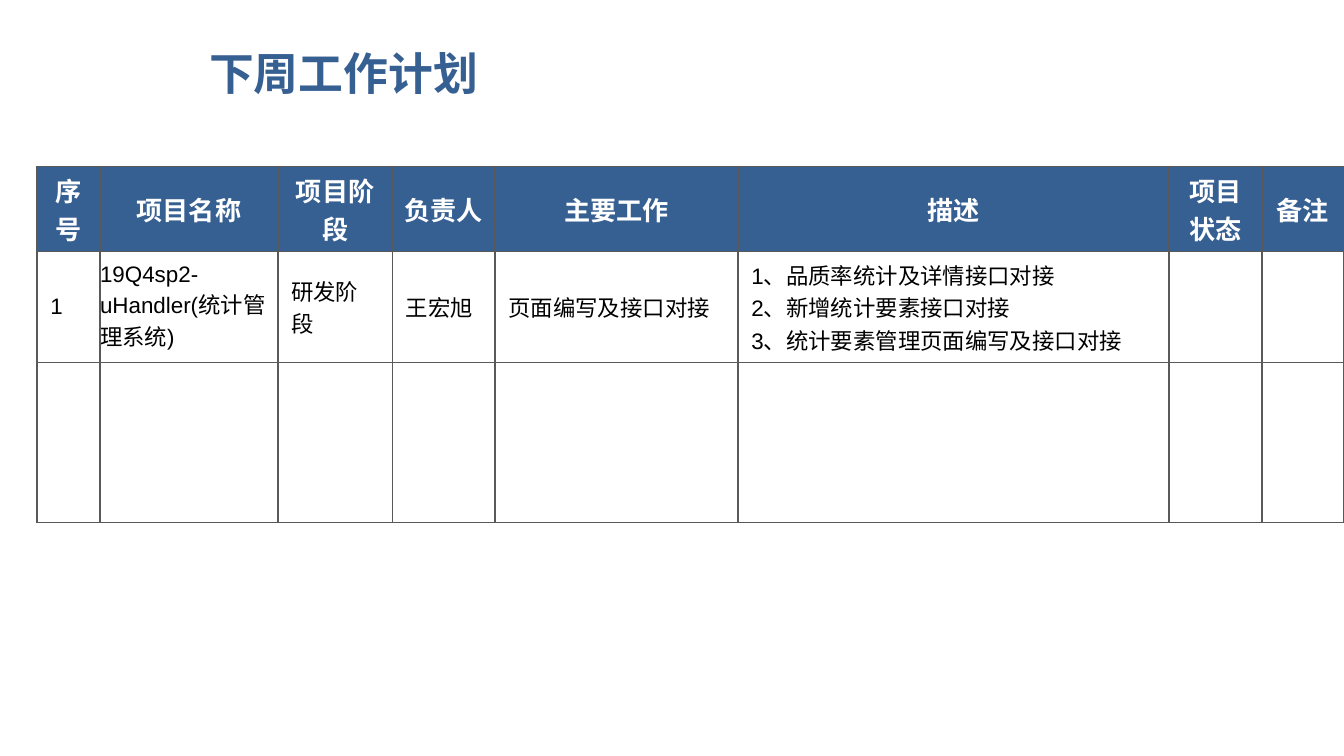
from lxml.etree import SubElement
from pptx import Presentation
from pptx.dml.color import RGBColor
from pptx.enum.text import MSO_ANCHOR, PP_ALIGN
from pptx.oxml.ns import qn
from pptx.util import Cm, Pt

COLORS = {"blue": "376092", "white": "FFFFFF", "black": "000000", "border": "595959"}
CHINESE_FONT = "Noto Sans CJK SC"


def format_paragraph(paragraph, font_name, size, color, bold, alignment):
    paragraph.alignment = alignment
    font = paragraph.font
    font.name = font_name
    font.size = Pt(size)
    font.bold = bold
    font.color.rgb = RGBColor.from_string(COLORS[color])
    properties = paragraph._p.pPr.find(qn("a:defRPr"))
    SubElement(properties, qn("a:ea"), typeface=CHINESE_FONT)


def add_borders(cell):
    properties = cell._tc.get_or_add_tcPr()
    for side in ("L", "R", "T", "B"):
        line = SubElement(properties, qn(f"a:ln{side}"), w=str(Pt(1)))
        fill = SubElement(line, qn("a:solidFill"))
        SubElement(fill, qn("a:srgbClr"), val=COLORS["border"])


presentation = Presentation()
presentation.slide_width = Cm(25.4)
presentation.slide_height = Cm(14.29)
slide = presentation.slides.add_slide(presentation.slide_layouts[5])

# Title
title = slide.shapes.title
title.left, title.top, title.width, title.height = Cm(3.7), Cm(0.58), Cm(20.4), Cm(1.58)
title.text_frame.text = "下周工作计划"
title.text_frame.vertical_anchor = MSO_ANCHOR.MIDDLE
format_paragraph(title.text_frame.paragraphs[0], CHINESE_FONT, 24, "blue", True, PP_ALIGN.LEFT)

# Work plan table
rows = [
    ["序号", "项目名称", "项目阶段", "负责人", "主要工作", "描述", "项目状态", "备注"],
    ["1", "19Q4sp2-uHandler(统计管理系统)", "研发阶段", "王宏旭", "页面编写及接口对接",
     "1、品质率统计及详情接口对接\n2、新增统计要素接口对接\n3、统计要素管理页面编写及接口对接", "", ""],
    [""] * 8,
]
column_widths = [1.19, 3.36, 2.17, 1.94, 4.59, 8.14, 1.76, 1.54]
row_heights = [1.24, 1.07, 3.02]

table = slide.shapes.add_table(
    len(rows), len(column_widths), Cm(0.7), Cm(3.15),
    Cm(sum(column_widths)), Cm(sum(row_heights))).table
table.horz_banding = False
for column, width in zip(table.columns, column_widths):
    column.width = Cm(width)
for row, height in zip(table.rows, row_heights):
    row.height = Cm(height)

for row_index, texts in enumerate(rows):
    is_header = row_index == 0
    for column_index, text in enumerate(texts):
        cell = table.cell(row_index, column_index)
        add_borders(cell)
        cell.vertical_anchor = MSO_ANCHOR.MIDDLE
        if is_header:
            cell.fill.solid()
            cell.fill.fore_color.rgb = RGBColor.from_string(COLORS["blue"])
            horizontal, vertical = 0.18, 0.08
        else:
            cell.fill.background()
            is_project_name = column_index == 1 and text
            horizontal, vertical = (0, 0) if is_project_name else (0.25, 0.13)
        cell.margin_left = cell.margin_right = Cm(horizontal)
        cell.margin_top = cell.margin_bottom = Cm(vertical)
        cell.text = text
        for paragraph in cell.text_frame.paragraphs:
            if is_header:
                format_paragraph(paragraph, "Arial", 14, "white", True, PP_ALIGN.CENTER)
            else:
                format_paragraph(paragraph, "Arial", 12, "black", False, PP_ALIGN.LEFT)

presentation.save("out.pptx")
